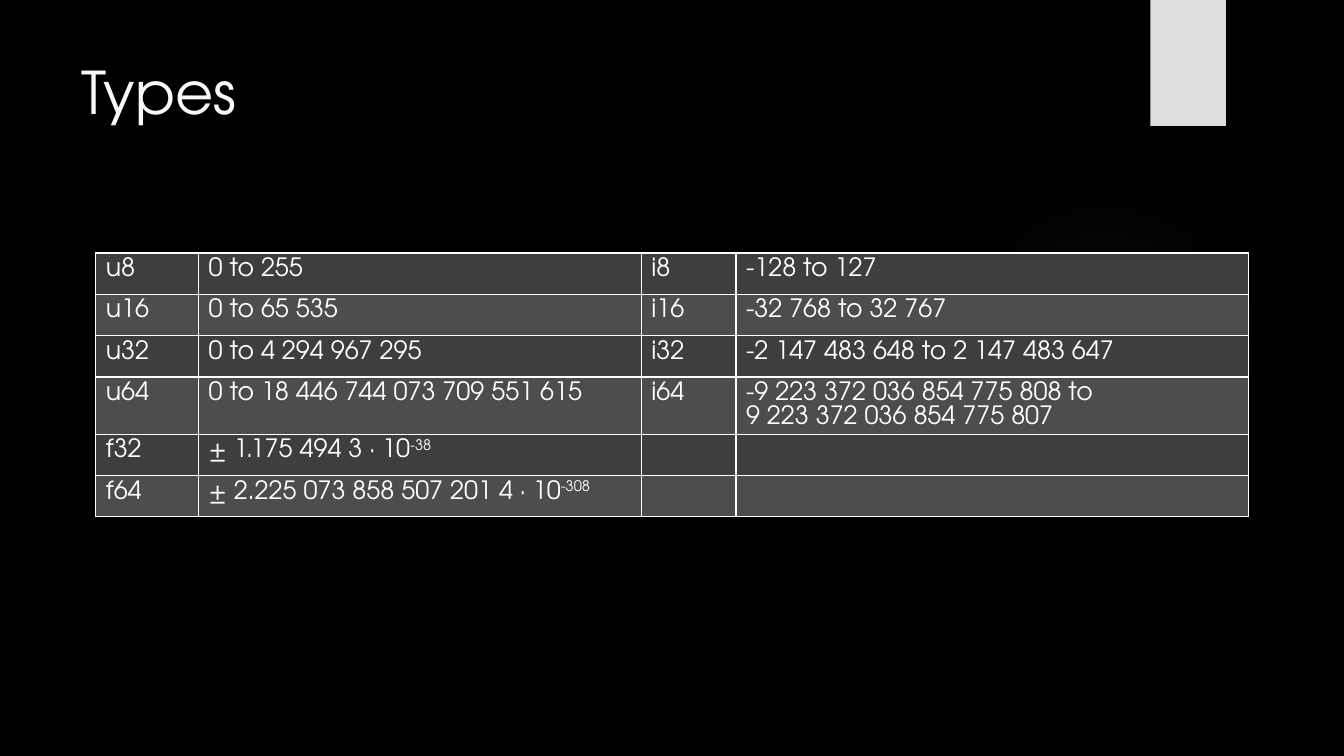
import pptx
import pptx.util
import pptx.dml.color
import pptx.enum.shapes
import pptx.enum.text
import pptx.oxml
import pptx.oxml.ns

Inches = pptx.util.Inches
Pt = pptx.util.Pt
RGBColor = pptx.dml.color.RGBColor
SHAPE = pptx.enum.shapes.MSO_SHAPE

BLACK = RGBColor(0x00, 0x00, 0x00)
WHITE = RGBColor(0xFF, 0xFF, 0xFF)
PALE = RGBColor(0xF8, 0xF8, 0xF8)
SILVER = RGBColor(0xDD, 0xDD, 0xDD)
BANDS = [RGBColor(0x3E, 0x3E, 0x3E), RGBColor(0x4D, 0x4D, 0x4D)]
FONT = "TeX Gyre Adventor"

deck = pptx.Presentation()
deck.slide_width = Inches(13.33)
deck.slide_height = Inches(7.5)
slide = deck.slides.add_slide(deck.slide_layouts[5])
slide.background.fill.solid()
slide.background.fill.fore_color.rgb = BLACK

glow = slide.shapes.add_shape(
    SHAPE.OVAL, Inches(9.41), Inches(1.83), Inches(3.08), Inches(3.08))
glow.shadow.inherit = False
glow.line.fill.background()
stops = "".join(
    f'<a:gs pos="{pos}000"><a:srgbClr val="666666">'
    f'<a:alpha val="{alpha}000"/></a:srgbClr></a:gs>'
    for pos, alpha in [(0, 7), (36, 6), (69, 0)])
grad = pptx.oxml.parse_xml(
    f'<a:gradFill {pptx.oxml.ns.nsdecls("a")}><a:gsLst>{stops}</a:gsLst>'
    '<a:path path="circle"><a:fillToRect l="50000" t="50000" '
    'r="50000" b="50000"/></a:path></a:gradFill>')
glow.element.spPr.find(pptx.oxml.ns.qn("a:prstGeom")).addnext(grad)

tab = slide.shapes.add_shape(
    SHAPE.RECTANGLE, Inches(11.41), 0, Inches(0.75), Inches(1.25))
tab.shadow.inherit = False
tab.fill.solid()
tab.fill.fore_color.rgb = SILVER
tab.line.fill.background()

title = slide.shapes.title
title.left, title.top = Inches(0.71), Inches(0.5)
title.width, title.height = Inches(10.29), Inches(1.53)
title.text_frame.text = "Types"
title.text_frame.vertical_anchor = pptx.enum.text.MSO_ANCHOR.TOP
head = title.text_frame.paragraphs[0]
head.alignment = pptx.enum.text.PP_ALIGN.LEFT
head.font.name = FONT
head.font.size = Pt(42)
head.font.color.rgb = PALE

ROWS = [
    ["u8", "0 to 255", "i8", "-128 to 127"],
    ["u16", "0 to 65 535", "i16", "-32 768 to 32 767"],
    ["u32", "0 to 4 294 967 295", "i32", "-2 147 483 648 to 2 147 483 647"],
    ["u64", "0 to 18 446 744 073 709 551 615", "i64",
     "-9 223 372 036 854 775 808 to\n9 223 372 036 854 775 807"],
    ["f32", "± 1.175 494 3 · 10^-38", "", ""],
    ["f64", "± 2.225 073 858 507 201 4 · 10^-308", "", ""],
]
table = slide.shapes.add_table(
    len(ROWS), 4, Inches(0.95), Inches(2.51), Inches(11.43), Inches(2.46)).table
table.first_row = False
table.horz_banding = False
for col, width in zip(table.columns, [1.02, 4.39, 0.94, 5.08]):
    col.width = Inches(width)

for r, row in enumerate(ROWS):
    table.rows[r].height = Inches(0.41)
    for c, text in enumerate(row):
        cell = table.cell(r, c)
        cell.fill.solid()
        cell.fill.fore_color.rgb = BANDS[r % 2]
        base, _, power = text.partition("^")
        cell.text = base
        for para in cell.text_frame.paragraphs:
            para.line_spacing = Pt(16.8)
            para.font.name = FONT
            para.font.size = Pt(18)
            para.font.color.rgb = WHITE
        if power:
            run = cell.text_frame.paragraphs[0].add_run()
            run.text = power
            run.font._element.set("baseline", "30000")

deck.save("out.pptx")
